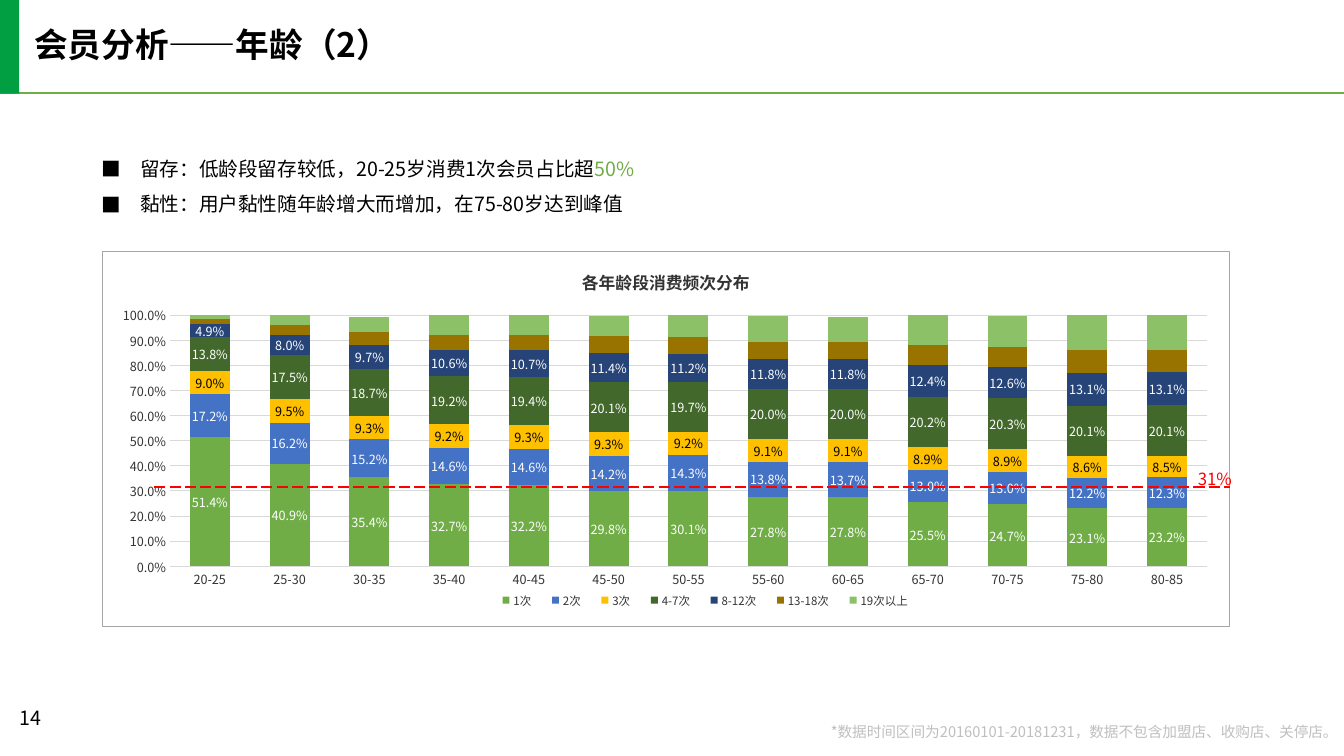
from dataclasses import dataclass

import lxml.etree
import pptx
import pptx.chart.data
import pptx.dml.color
import pptx.enum.chart
import pptx.enum.dml
import pptx.enum.shapes
import pptx.enum.text
import pptx.oxml
import pptx.oxml.ns
import pptx.util
from pptx.util import Inches, Pt


@dataclass(frozen=True)
class Theme:
    font: str = "Noto Sans CJK SC"
    black: str = "000000"
    white: str = "FFFFFF"
    brand: str = "029E42"
    green: str = "70AD47"
    red: str = "FF0000"
    note_gray: str = "BFBFBF"
    grid: str = "D9D9D9"
    border: str = "A6A6A6"
    chart_text: str = "333333"
    title_size: float = 24
    body_size: float = 14
    chart_title_size: float = 12
    note_size: float = 10.5
    axis_size: float = 9
    legend_size: float = 8.2


THEME = Theme()
AGES = [f"{age}-{age + 5}" for age in range(20, 85, 5)]
# name, fill, label colour (None: no labels), percentages by age group
FREQUENCIES = [
    ("1次", THEME.green, THEME.white,
     [51.4, 40.9, 35.4, 32.7, 32.2, 29.8, 30.1, 27.8, 27.8, 25.5, 24.7, 23.1, 23.2]),
    ("2次", "4472C4", THEME.white,
     [17.2, 16.2, 15.2, 14.6, 14.6, 14.2, 14.3, 13.8, 13.7, 13, 13, 12.2, 12.3]),
    ("3次", "FFC000", THEME.black,
     [9, 9.5, 9.3, 9.2, 9.3, 9.3, 9.2, 9.1, 9.1, 8.9, 8.9, 8.6, 8.5]),
    ("4-7次", "43682B", THEME.white,
     [13.8, 17.5, 18.7, 19.2, 19.4, 20.1, 19.7, 20, 20, 20.2, 20.3, 20.1, 20.1]),
    ("8-12次", "264478", THEME.white,
     [4.9, 8, 9.7, 10.6, 10.7, 11.4, 11.2, 11.8, 11.8, 12.4, 12.6, 13.1, 13.1]),
    ("13-18次", "997300", None, [2, 4, 5, 6, 6, 7, 7, 7, 7, 8, 8, 9, 9]),
    ("19次以上", "8CC168", None, [2, 4, 6, 8, 8, 8, 9, 10, 10, 12, 12, 14, 14]),
]


def rgb(color):
    return pptx.dml.color.RGBColor.from_string(color)


def style_font(font, size, color, bold=False):
    font.size, font.bold, font.name = Pt(size), bold, THEME.font
    font.color.rgb = rgb(color)
    east_asian = lxml.etree.Element(pptx.oxml.ns.qn("a:ea"), typeface=THEME.font)
    font._rPr.find(pptx.oxml.ns.qn("a:latin")).addnext(east_asian)


def place(shape, box):
    shape.left, shape.top, shape.width, shape.height = map(Inches, box)


def prepare_frame(shape, wrap=True, anchor=pptx.enum.text.MSO_ANCHOR.TOP):
    frame = shape.text_frame
    frame.auto_size = pptx.enum.text.MSO_AUTO_SIZE.NONE
    frame.word_wrap, frame.vertical_anchor = wrap, anchor
    frame.margin_left = frame.margin_top = frame.margin_right = frame.margin_bottom = 0
    return frame


def add_line(slide, start, end, color, width, dash=None):
    line = slide.shapes.add_connector(
        pptx.enum.shapes.MSO_CONNECTOR.STRAIGHT, *map(Inches, start + end))
    line.line.color.rgb, line.line.width = rgb(color), Pt(width)
    if dash:
        line.line.dash_style = dash
    lxml.etree.SubElement(line._element.spPr, pptx.oxml.ns.qn("a:effectLst"))


def add_label(slide, box, text, size, color, align=pptx.enum.text.PP_ALIGN.LEFT):
    """Add one unwrapped line of text without insets."""
    label = slide.shapes.add_textbox(*map(Inches, box))
    paragraph = prepare_frame(label, wrap=False).paragraphs[0]
    paragraph.text, paragraph.alignment = text, align
    style_font(paragraph.font, size, color)
    return paragraph


def add_header(slide, box, text):
    left, top, width, height = box
    add_line(slide, (left, top + height), (left + width, top + height), THEME.green, 1.5)
    bar = slide.shapes.add_shape(
        pptx.enum.shapes.MSO_SHAPE.RECTANGLE, *map(Inches, (left, top, 0.19, height + 0.01)))
    bar.shadow.inherit = False
    bar.fill.solid()
    bar.fill.fore_color.rgb = rgb(THEME.brand)
    bar.line.fill.background()
    title = slide.shapes.title
    place(title, (left + 0.34, top + 0.28, 6.29, 0.36))
    paragraph = prepare_frame(title).paragraphs[0]
    paragraph.text = text
    paragraph.alignment, paragraph.line_spacing = pptx.enum.text.PP_ALIGN.LEFT, 0.9
    style_font(paragraph.font, THEME.title_size, THEME.black, bold=True)


def add_findings(slide, box, findings):
    """Fill the body placeholder; each finding is a text and a highlighted ending."""
    body = slide.placeholders[1]
    place(body, box)
    frame = prepare_frame(body, anchor=pptx.enum.text.MSO_ANCHOR.MIDDLE)
    for index, (text, highlight) in enumerate(findings):
        paragraph = frame.paragraphs[0] if index == 0 else frame.add_paragraph()
        paragraph.line_spacing, paragraph.space_before = 1.5, Pt(0)
        properties = paragraph._p.get_or_add_pPr()
        properties.set("marL", str(Inches(0.38)))
        properties.set("indent", str(-Inches(0.38)))
        lxml.etree.SubElement(properties, pptx.oxml.ns.qn("a:buFont"), typeface=THEME.font)
        lxml.etree.SubElement(properties, pptx.oxml.ns.qn("a:buChar"), char="■")
        style_font(paragraph.font, THEME.body_size, THEME.black)
        paragraph.add_run().text = text
        if highlight:
            run = paragraph.add_run()
            run.text = highlight
            run.font.color.rgb = rgb(THEME.green)


def set_layout(parent, position, fractions, inner=False):
    """Put a manual layout, in fractions of the chart, into a chart part."""
    tag = pptx.oxml.ns.qn("c:layout")
    for existing in parent.findall(tag):
        parent.remove(existing)
    layout = lxml.etree.Element(tag)
    manual = lxml.etree.SubElement(layout, pptx.oxml.ns.qn("c:manualLayout"))
    settings = [("layoutTarget", "inner")] if inner else []
    settings += [("xMode", "edge"), ("yMode", "edge"), *zip("xywh", map(str, fractions))]
    for name, value in settings:
        lxml.etree.SubElement(manual, pptx.oxml.ns.qn(f"c:{name}"), val=value)
    parent.insert(position, layout)


def frame_chart(chart):
    chart._chartSpace.chart.addnext(pptx.oxml.parse_xml(
        f'<c:spPr {pptx.oxml.ns.nsdecls("c", "a")}>'
        f'<a:solidFill><a:srgbClr val="{THEME.white}"/></a:solidFill>'
        f'<a:ln w="{Pt(0.75)}"><a:solidFill><a:srgbClr val="{THEME.border}"/></a:solidFill></a:ln>'
        '</c:spPr>'))


def style_axes(chart):
    category, value = chart.category_axis, chart.value_axis
    for axis in (category, value):
        axis.major_tick_mark = axis.minor_tick_mark = pptx.enum.chart.XL_TICK_MARK.NONE
        style_font(axis.tick_labels.font, THEME.axis_size, THEME.chart_text)
    value.minimum_scale, value.maximum_scale, value.major_unit = 0, 1, 0.1
    value.tick_labels.number_format = "0.0%"
    value.tick_labels.number_format_is_linked = False
    value.format.line.fill.background()
    for line in (category.format.line, value.major_gridlines.format.line):
        line.color.rgb, line.width = rgb(THEME.grid), Pt(0.75)


def style_series(series, color, label_color):
    series.format.fill.solid()
    series.format.fill.fore_color.rgb = rgb(color)
    if label_color:
        labels = series.data_labels
        labels.show_value = True
        labels.position = pptx.enum.chart.XL_LABEL_POSITION.CENTER
        labels.number_format, labels.number_format_is_linked = "0.0%", False
        style_font(labels.font, THEME.axis_size, label_color)


def add_frequency_chart(slide, box):
    left, top, width, height = box
    data = pptx.chart.data.CategoryChartData(number_format="0.0%")
    data.categories = AGES
    for name, _, _, percentages in FREQUENCIES:
        data.add_series(name, [round(percentage / 100, 3) for percentage in percentages])
    chart = slide.shapes.add_chart(
        pptx.enum.chart.XL_CHART_TYPE.COLUMN_STACKED, *map(Inches, box), data).chart
    style_font(chart.font, 10, THEME.black)
    frame_chart(chart)
    chart.has_title = True
    paragraph = chart.chart_title.text_frame.paragraphs[0]
    paragraph.text = "各年龄段消费频次分布"
    style_font(paragraph.font, THEME.chart_title_size, THEME.chart_text, bold=True)
    style_axes(chart)
    plot = chart.plots[0]
    plot.gap_width, plot.overlap, plot.vary_by_categories = 100, 100, False
    for series, (_, color, label_color, _) in zip(plot.series, FREQUENCIES):
        style_series(series, color, label_color)
    chart.has_legend = True
    chart.legend.position = pptx.enum.chart.XL_LEGEND_POSITION.BOTTOM
    chart.legend.include_in_layout = False
    style_font(chart.legend.font, THEME.legend_size, THEME.chart_text)
    set_layout(chart._chartSpace.chart.plotArea, 0, (0.06, 0.17, 0.92, 0.67), inner=True)
    set_layout(chart.legend._element, 1, (0.34, 0.9, 0.39, 0.06))

    average = top + 2.34
    add_line(slide, (left + 0.52, average), (left + width, average), THEME.red, 1,
             pptx.enum.dml.MSO_LINE.LONG_DASH)
    add_label(slide, (left + width - 0.32, average - 0.18, 0.35, 0.2), "31%",
              THEME.chart_title_size, THEME.red)


def add_footer(slide, box, number, note):
    left, top, width, height = box
    add_label(slide, (left + 0.19, top + 0.05, 0.71, 0.3), number,
              THEME.body_size, THEME.black)
    paragraph = add_label(slide, (left + width - 5.19, top + 0.24, 5.19, 0.16), note,
                          THEME.note_size, THEME.note_gray, pptx.enum.text.PP_ALIGN.RIGHT)
    paragraph.line_spacing = 0.9


def main():
    presentation = pptx.Presentation()
    presentation.slide_width, presentation.slide_height = Inches(13.33), Inches(7.5)
    slide = presentation.slides.add_slide(presentation.slide_layouts[1])
    add_header(slide, (0, 0, 13.33, 0.92), "会员分析——年龄（2）")
    add_findings(slide, (1.01, 1.45, 7.86, 0.67), [
        ("留存：低龄段留存较低，20-25岁消费1次会员占比超", "50%"),
        ("黏性：用户黏性随年龄增大而增加，在75-80岁达到峰值", ""),
    ])
    add_frequency_chart(slide, (1.01, 2.49, 11.19, 3.73))
    add_footer(slide, (0, 6.95, 13.27, 0.4), "14",
               "*数据时间区间为20160101-20181231，数据不包含加盟店、收购店、关停店。")
    presentation.save("out.pptx")


if __name__ == "__main__":
    main()
